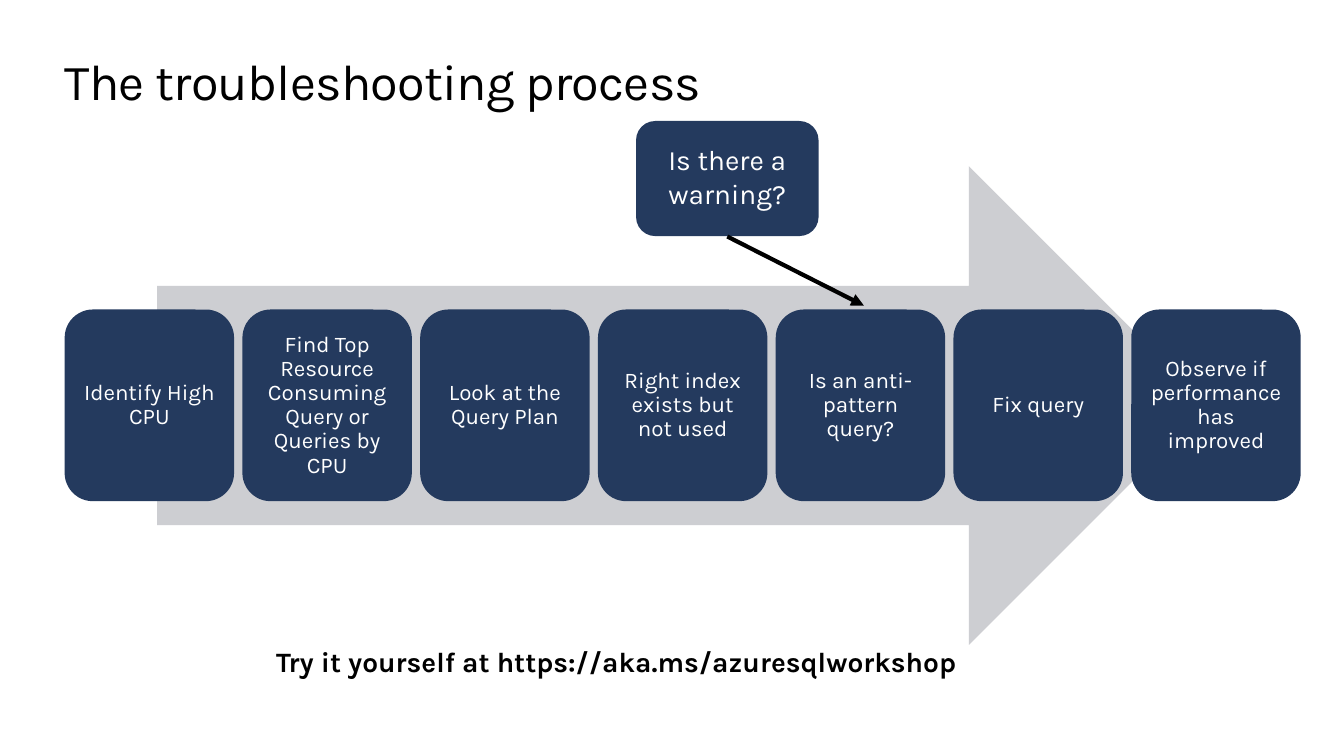
"""Build the slide that shows the troubleshooting process as a row of steps."""
import pptx
import pptx.dml.color
import pptx.enum.shapes
import pptx.enum.text
import pptx.oxml
import pptx.oxml.ns
import pptx.util

Cm = pptx.util.Cm
Shapes = pptx.enum.shapes.MSO_SHAPE
Anchor = pptx.enum.text.MSO_ANCHOR
Align = pptx.enum.text.PP_ALIGN
AutoSize = pptx.enum.text.MSO_AUTO_SIZE

STEPS = [
    "Identify High CPU",
    "Find Top Resource Consuming Query or Queries by CPU",
    "Look at the Query Plan",
    "Right index exists but not used",
    "Is an anti-pattern query?",
    "Fix query",
    "Observe if performance has improved",
]


def color(value):
    """Turn a hex string into a colour."""
    return pptx.dml.color.RGBColor.from_string(value)


def apply(target, values):
    """Set each attribute of the target from a dict of format values."""
    for name, value in values.items():
        setattr(target, name, value)


class ProcessSlide:
    """Hold the style and the current slide."""

    FONT = "Karla"
    NAVY, GREY, BLACK, WHITE = "243A5E", "CDCED2", "000000", "FFFFFF"

    def __init__(self, presentation):
        """Add a slide with only a title to the presentation."""
        self.slide = presentation.slides.add_slide(presentation.slide_layouts[5])

    def fill_text(self, shape, text, size, ink, margins=(0, 0), bold=False,
                  frame_format=None, paragraph_format=None):
        """Put one formatted paragraph into a shape and return its run."""
        side, edge = (Cm(margin) for margin in margins)
        frame = shape.text_frame
        apply(frame, {
            "margin_left": side, "margin_right": side,
            "margin_top": edge, "margin_bottom": edge,
            "word_wrap": True, "vertical_anchor": Anchor.TOP,
            **(frame_format or {}),
        })
        paragraph = frame.paragraphs[0]
        apply(paragraph, {"alignment": Align.LEFT, **(paragraph_format or {})})
        run = paragraph.add_run()
        run.text = text
        apply(run.font, {"name": self.FONT, "size": pptx.util.Pt(size), "bold": bold})
        run.font.color.rgb = color(ink)
        return run

    def title(self, text, left, top, width, height):
        """Fill and place the title placeholder."""
        shape = self.slide.shapes.title
        apply(shape, {"left": Cm(left), "top": Cm(top),
                      "width": Cm(width), "height": Cm(height)})
        run = self.fill_text(shape, text, 36, self.BLACK,
                             frame_format={"auto_size": AutoSize.SHAPE_TO_FIT_TEXT})
        run.font._element.set("spc", "-50")

    def block(self, preset, fill, left, top, width, height):
        """Add a flat preset shape without an outline."""
        shape = self.slide.shapes.add_shape(
            preset, Cm(left), Cm(top), Cm(width), Cm(height))
        shape.shadow.inherit = False
        shape.fill.solid()
        shape.fill.fore_color.rgb = color(fill)
        shape.line.fill.background()
        return shape

    def step(self, text, left, top, width, height):
        """Add one rounded step of the process."""
        shape = self.block(Shapes.ROUNDED_RECTANGLE, self.NAVY, left, top, width, height)
        self.fill_text(shape, text, 16, self.WHITE, (0.18, 0.18),
                       frame_format={"vertical_anchor": Anchor.MIDDLE},
                       paragraph_format={"alignment": Align.CENTER, "line_spacing": 0.9})

    def callout(self, text, left, top, width, height):
        """Add a rounded question above the steps."""
        shape = self.block(Shapes.ROUNDED_RECTANGLE, self.NAVY, left, top, width, height)
        self.fill_text(shape, text, 20, self.WHITE, (0.51, 0.41),
                       paragraph_format={"alignment": Align.CENTER})

    def label(self, text, left, top, width, height):
        """Add a bold line of text that does not wrap."""
        shape = self.slide.shapes.add_textbox(Cm(left), Cm(top), Cm(width), Cm(height))
        self.fill_text(shape, text, 20, self.BLACK, bold=True,
                       frame_format={"word_wrap": False,
                                     "auto_size": AutoSize.SHAPE_TO_FIT_TEXT})

    def pointer(self, start, end):
        """Add a straight line that ends in an arrowhead."""
        connector = self.slide.shapes.add_connector(
            pptx.enum.shapes.MSO_CONNECTOR.STRAIGHT,
            *(Cm(length) for length in (*start, *end)))
        connector.line.width = pptx.util.Pt(3)
        connector.line.color.rgb = color(self.BLACK)
        namespace = pptx.oxml.ns.nsdecls("a")
        properties = connector._element.spPr
        properties.find(pptx.oxml.ns.qn("a:ln")).append(
            pptx.oxml.parse_xml(f'<a:tailEnd {namespace} type="triangle"/>'))
        properties.append(pptx.oxml.parse_xml(f"<a:effectLst {namespace}/>"))


def main():
    """Build and save the presentation."""
    presentation = pptx.Presentation()
    apply(presentation, {"slide_width": Cm(33.87), "slide_height": Cm(19.05)})
    process = ProcessSlide(presentation)
    left, pitch = 1.63, 4.48

    process.title("The troubleshooting process", left, 1.27, 30.61, 1.55)
    process.block(Shapes.RIGHT_ARROW, process.GREY, 3.96, 4.19, 26.49, 12.06)
    for index, text in enumerate(STEPS):
        process.step(text, left + index * pitch, 7.8, 4.27, 4.83)
    process.label("Try it yourself at https://aka.ms/azuresqlworkshop",
                  6.96, 16.23, 17.35, 0.86)
    process.callout("Is there a warning?", 16.03, 3.05, 4.6, 2.9)
    process.pointer((18.33, 5.96), (21.77, 7.7))
    presentation.save("out.pptx")


if __name__ == "__main__":
    main()
